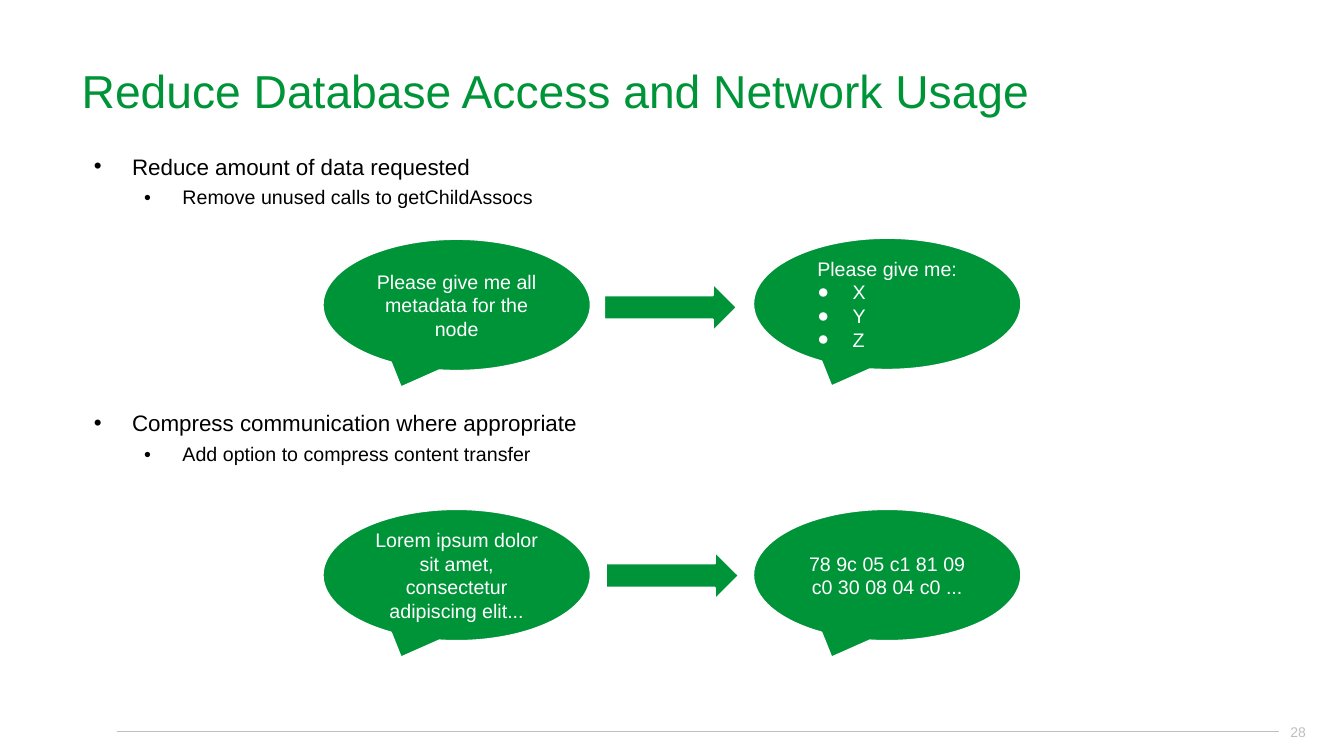
from lxml import etree
from pptx import Presentation
from pptx import util as u
from pptx.dml import color
from pptx.enum import shapes, text
from pptx.oxml import ns

COLORS = {"green": "009439", "black": "000000", "white": "FFFFFF", "gray": "BFBFBF"}


def write_paragraph(paragraph, words, size, color_name, bullet=None, indent=(0, 0), **formats):
    """Fill a paragraph; indent is (left margin, first line) in inches."""
    paragraph.text = words
    properties = paragraph._p.get_or_add_pPr()
    properties.set("marL", str(u.Inches(indent[0])))
    properties.set("indent", str(u.Inches(indent[1])))
    if bullet:
        bullet_color = etree.SubElement(properties, ns.qn("a:buClr"))
        etree.SubElement(bullet_color, ns.qn("a:srgbClr"), val=COLORS[color_name])
        etree.SubElement(properties, ns.qn("a:buFont"), typeface="Arial")
        etree.SubElement(properties, ns.qn("a:buChar"), char=bullet)
    settings = {"space_before": u.Pt(0), "line_spacing": 1.0, **formats}
    for name, value in settings.items():
        setattr(paragraph, name, value)
    for font in [paragraph.font] + [run.font for run in paragraph.runs]:
        font.name = "Arial"
        font.size = u.Pt(size)
        font.color.rgb = color.RGBColor.from_string(COLORS[color_name])


def place(shape, left, top, width, height, margin=0.05, anchor=text.MSO_ANCHOR.TOP):
    """Position a shape and set up its text frame."""
    for name, value in zip(("left", "top", "width", "height"), (left, top, width, height)):
        setattr(shape, name, u.Inches(value))
    frame_format = {
        "word_wrap": True, "auto_size": text.MSO_AUTO_SIZE.NONE, "vertical_anchor": anchor,
        "margin_left": u.Inches(0.1), "margin_right": u.Inches(0.1),
        "margin_top": u.Inches(margin), "margin_bottom": u.Inches(margin),
    }
    for name, value in frame_format.items():
        setattr(shape.text_frame, name, value)
    return shape.text_frame


presentation = Presentation()
presentation.slide_width = u.Inches(13.33)
presentation.slide_height = u.Inches(7.5)
slide = presentation.slides.add_slide(presentation.slide_layouts[1])

# Footer rule and page number
rule = slide.shapes.add_connector(
    shapes.MSO_CONNECTOR.STRAIGHT, u.Inches(1.16), u.Inches(7.26), u.Inches(12.69), u.Inches(7.26))
rule.line.color.rgb = color.RGBColor.from_string(COLORS["gray"])
rule.line.width = u.Pt(0.75)
etree.SubElement(rule._element.spPr, ns.qn("a:effectLst"))
page_number = slide.shapes.add_textbox(0, 0, 0, 0)
frame = place(page_number, 12.54, 7.06, 0.51, 0.4, anchor=text.MSO_ANCHOR.MIDDLE)
write_paragraph(frame.paragraphs[0], "28", 10, "gray", alignment=text.PP_ALIGN.RIGHT)

# Title
frame = place(slide.shapes.title, 0.71, 0.56, 12.16, 0.66, anchor=text.MSO_ANCHOR.BOTTOM)
write_paragraph(frame.paragraphs[0], "Reduce Database Access and Network Usage", 33, "green",
                alignment=text.PP_ALIGN.LEFT)

# Bullet list: level, words, line spacing, space before
bullets = [
    (0, "Reduce amount of data requested", 1.17, 0),
    (1, "Remove unused calls to getChildAssocs", 0.9, 6),
    (0, "Compress communication where appropriate", 0.9, 145),
    (1, "Add option to compress content transfer", 0.9, 6),
]
frame = place(slide.placeholders[1], 0.71, 1.42, 12.16, 5.29)
for index, (level, words, spacing, before) in enumerate(bullets):
    paragraph = frame.add_paragraph() if index else frame.paragraphs[0]
    write_paragraph(paragraph, words, 16 - 2 * level, "black", "•", (0.5 + 0.5 * level, -0.38),
                    level=level, line_spacing=spacing, space_before=u.Pt(before))

# Speech bubbles and arrows: left, top, width, height, lines of text
bubble, arrow = shapes.MSO_SHAPE.OVAL_CALLOUT, shapes.MSO_SHAPE.RIGHT_ARROW
bubble_size, arrow_size = (2.66, 1.31), (1.32, 0.48)
diagram = [
    (bubble, 3.2, 5.05, bubble_size, ["Lorem ipsum dolor sit amet, consectetur adipiscing elit..."]),
    (bubble, 3.2, 2.37, bubble_size, ["Please give me all metadata for the node"]),
    (bubble, 7.47, 2.36, bubble_size, ["Please give me:", "X", "Y", "Z"]),
    (bubble, 7.47, 5.05, bubble_size, ["78 9c 05 c1 81 09 c0 30 08 04 c0 ..."]),
    (arrow, 5.99, 2.81, arrow_size, []),
    (arrow, 6.01, 5.47, arrow_size, []),
]
adjustments = {bubble: (-0.208, 0.625), arrow: (0.5, 0.5)}
for kind, left, top, size, lines in diagram:
    shape = slide.shapes.add_shape(kind, 0, 0, 0, 0)
    frame = place(shape, left, top, *size, margin=0.1, anchor=text.MSO_ANCHOR.MIDDLE)
    for index, value in enumerate(adjustments[kind]):
        shape.adjustments[index] = value
    shape.shadow.inherit = False
    shape.fill.solid()
    shape.fill.fore_color.rgb = color.RGBColor.from_string(COLORS["green"])
    shape.line.color.rgb = color.RGBColor.from_string(COLORS["white"])
    shape.line.width = u.Pt(1.5)
    for index, words in enumerate(lines):
        if index == 0:
            write_paragraph(frame.paragraphs[0], words, 14, "white",
                            alignment=text.PP_ALIGN.CENTER)
        else:
            write_paragraph(frame.add_paragraph(), words, 14, "white", "●", (0.5, -0.35),
                            alignment=text.PP_ALIGN.LEFT)

presentation.save("out.pptx")
